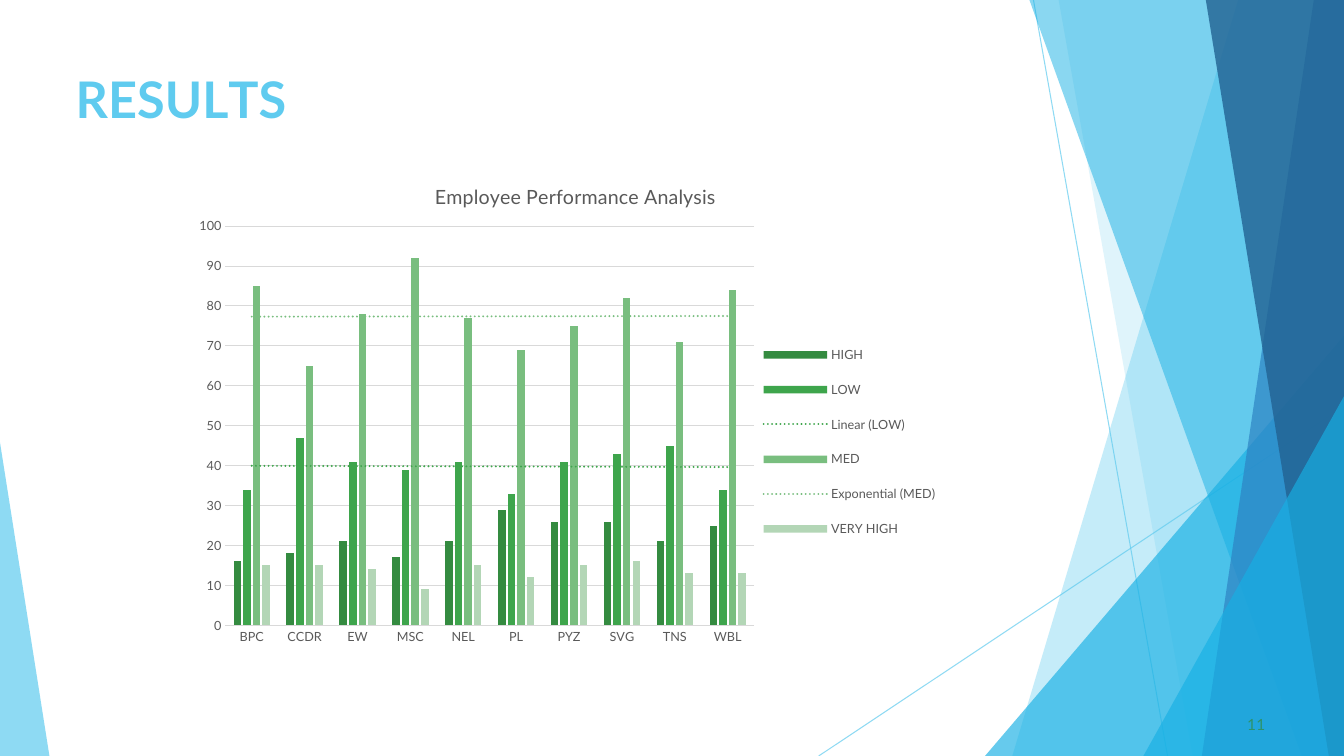
from lxml import etree
from pptx import Presentation
from pptx.chart.data import CategoryChartData
from pptx.dml.color import RGBColor
from pptx.enum.chart import XL_CHART_TYPE, XL_LEGEND_POSITION, XL_TICK_MARK
from pptx.enum.shapes import MSO_CONNECTOR, MSO_SHAPE
from pptx.enum.text import MSO_ANCHOR, MSO_AUTO_SIZE, PP_ALIGN
from pptx.oxml import parse_xml
from pptx.oxml.ns import nsdecls, qn
from pptx.util import Inches, Pt

FONT = "Lato"
WIDTH, HEIGHT = 13.33, 7.5
COLORS = {
    "sky": "5FCBEF", "cyan": "17B0E4", "blue": "2E83C3", "navy": "226292",
    "number": "2D936B", "text": "595959", "grid": "D9D9D9",
    "HIGH": "348B40", "LOW": "3EA54C", "MED": "79BE7F", "VERY HIGH": "B3D6B6",
}
CATEGORIES = ["BPC", "CCDR", "EW", "MSC", "NEL", "PL", "PYZ", "SVG", "TNS", "WBL"]
SERIES = {
    "HIGH": [16, 18, 21, 17, 21, 29, 26, 26, 21, 25],
    "LOW": [34, 47, 41, 39, 41, 33, 41, 43, 45, 34],
    "MED": [85, 65, 78, 92, 77, 69, 75, 82, 71, 84],
    "VERY HIGH": [15, 15, 14, 9, 15, 12, 15, 16, 13, 13],
}
TRENDS = {"LOW": "linear", "MED": "exp"}


def rgb(name):
    return RGBColor.from_string(COLORS[name])


def set_alpha(fill_parent, percent):
    clr = next(fill_parent.iter(qn("a:srgbClr")))
    etree.SubElement(clr, qn("a:alpha")).set("val", str(percent * 1000))


def style_facet(sp, color, alpha):
    sp.shadow.inherit = False
    sp.fill.solid()
    sp.fill.fore_color.rgb = rgb(color)
    sp.line.fill.background()
    set_alpha(sp._element.spPr, alpha)


def add_ray(slide, x1, y1, x2, y2):
    line = slide.shapes.add_connector(
        MSO_CONNECTOR.STRAIGHT, Inches(x1), Inches(y1), Inches(x2), Inches(y2))
    line.line.color.rgb = rgb("sky")
    line.line.width = Pt(0.75)
    set_alpha(line._element.spPr, 70)
    etree.SubElement(line._element.spPr, qn("a:effectLst"))


def add_band(slide, top_x, bottom_x, color, alpha):
    """Band between a slanted left edge and the right edge of the slide."""
    points = [(WIDTH, 0), (WIDTH, HEIGHT), (bottom_x, HEIGHT)]
    builder = slide.shapes.build_freeform(Inches(top_x), 0)
    builder.add_line_segments([(Inches(x), Inches(y)) for x, y in points])
    style_facet(builder.convert_to_shape(), color, alpha)


def add_triangle(slide, left, top, width, apex, color, alpha):
    sp = slide.shapes.add_shape(
        MSO_SHAPE.ISOSCELES_TRIANGLE, Inches(left), Inches(top),
        Inches(width), Inches(HEIGHT - top))
    sp.adjustments[0] = apex
    style_facet(sp, color, alpha)


def set_font(font, size, color, bold=False):
    font.name, font.size, font.bold = FONT, Pt(size), bold
    font.color.rgb = rgb(color)


def add_run(p, text, size, color, bold=False, spacing=0):
    r = p.add_run()
    r.text = text
    set_font(r.font, size, color, bold)
    r._r.get_or_add_rPr().set("spc", str(round(spacing * 100)))


def prepare_frame(sp, left, top, width, height, indent, space_before):
    sp.left, sp.top = Inches(left), Inches(top)
    sp.width, sp.height = Inches(width), Inches(height)
    tf = sp.text_frame
    tf.word_wrap, tf.auto_size = True, MSO_AUTO_SIZE.NONE
    tf.vertical_anchor = MSO_ANCHOR.TOP
    tf.margin_left = tf.margin_right = tf.margin_bottom = 0
    tf.margin_top = Inches(0.01)
    p = tf.paragraphs[0]
    p.alignment, p.space_before = PP_ALIGN.LEFT, Pt(space_before)
    p._p.get_or_add_pPr().set("marL", str(Inches(indent)))
    return p


def set_layout(parent, target=None, **fractions):
    """Place a chart part by fractions of the chart's size."""
    for old in parent.findall(qn("c:layout")):
        parent.remove(old)
    inner = f'<c:layoutTarget val="{target}"/>' if target else ""
    inner += "".join(f'<c:{k}Mode val="edge"/>' for k in "xy")
    inner += "".join(f'<c:{k} val="{v}"/>' for k, v in fractions.items())
    layout = parse_xml(f'<c:layout {nsdecls("c")}><c:manualLayout>{inner}'
                       '</c:manualLayout></c:layout>')
    before = [parent.find(qn(t)) for t in ("c:tx", "c:legendPos")]
    anchor = next((e for e in before if e is not None), None)
    if anchor is None:
        parent.insert(0, layout)
    else:
        anchor.addnext(layout)


def add_trendline(series, kind, color):
    series._element.find(qn("c:cat")).addprevious(parse_xml(
        f'<c:trendline {nsdecls("c", "a")}><c:spPr><a:ln w="{Pt(1.5)}" cap="rnd">'
        f'<a:solidFill><a:srgbClr val="{COLORS[color]}"/></a:solidFill>'
        f'<a:prstDash val="sysDot"/></a:ln></c:spPr><c:trendlineType val="{kind}"/>'
        '<c:dispRSqr val="0"/><c:dispEq val="0"/></c:trendline>'))


def style_axis(axis):
    axis.major_tick_mark = axis.minor_tick_mark = XL_TICK_MARK.NONE
    set_font(axis.tick_labels.font, 9, "text")


def style_line(line):
    line.color.rgb = rgb("grid")
    line.width = Pt(0.75)


def add_performance_chart(slide):
    data = CategoryChartData()
    data.categories = CATEGORIES
    for name, values in SERIES.items():
        data.add_series(name, values)
    chart = slide.shapes.add_chart(
        XL_CHART_TYPE.COLUMN_CLUSTERED, Inches(1.82), Inches(1.58),
        Inches(7.68), Inches(4.92), data).chart
    set_font(chart.font, 10, "text")

    # Title and legend
    chart.has_title = True
    p = chart.chart_title.text_frame.paragraphs[0]
    add_run(p, "Employee Performance Analysis", 14, "text")
    set_layout(chart.chart_title._element, x=0.32, y=0.04)
    chart.has_legend = True
    chart.legend.position = XL_LEGEND_POSITION.RIGHT
    chart.legend.include_in_layout = False
    set_font(chart.legend.font, 9, "text")
    set_layout(chart.legend._element, x=0.74, y=0.34, w=0.24, h=0.46)

    # Axes
    style_axis(chart.category_axis)
    style_line(chart.category_axis.format.line)
    axis = chart.value_axis
    style_axis(axis)
    axis.format.line.fill.background()
    style_line(axis.major_gridlines.format.line)
    axis.minimum_scale, axis.maximum_scale, axis.major_unit = 0, 100, 10

    # Columns and trend lines
    plot = chart.plots[0]
    plot.gap_width, plot.overlap, plot.vary_by_categories = 219, -27, False
    set_layout(plot._element.getparent(), "inner", x=0.054, y=0.135, w=0.683, h=0.805)
    for series in plot.series:
        series.format.fill.solid()
        series.format.fill.fore_color.rgb = rgb(series.name)
        if series.name in TRENDS:
            add_trendline(series, TRENDS[series.name], series.name)


def main():
    prs = Presentation()
    prs.slide_width, prs.slide_height = Inches(WIDTH), Inches(HEIGHT)
    slide = prs.slides.add_slide(prs.slide_layouts[5])

    # Faceted background
    add_ray(slide, 10.25, 0, 11.58, HEIGHT)
    add_ray(slide, WIDTH, 4.03, 8.12, HEIGHT)
    add_band(slide, 12.28, 10.04, "sky", 36)
    add_band(slide, 10.5, 11.83, "sky", 20)
    add_triangle(slide, 9.77, 3.33, 3.56, 1, "cyan", 66)
    add_band(slide, 10.21, 12.91, "cyan", 50)
    add_band(slide, 13.03, 11.92, "blue", 70)
    add_band(slide, 11.96, 13.18, "navy", 80)
    add_triangle(slide, 11.34, 3.93, 1.99, 1, "cyan", 66)
    add_triangle(slide, 0, 4.39, 0.49, 0, "sky", 70)

    # Title
    p = prepare_frame(slide.shapes.title, 0.74, 0.67, 9.4, 1.44, 0.01, 1.1)
    for text, spacing in [("R", 0), ("E", -0.4), ("S", 0.1), ("U", -0.3),
                          ("L", -4), ("TS", 0)]:
        add_run(p, text, 36, "sky", True, spacing)

    # Slide number
    box = slide.shapes.add_textbox(0, 0, 0, 0)
    p = prepare_frame(box, 12.33, 7.08, 0.25, 0.21, 0.04, 0.6)
    add_run(p, "11", 11, "number", spacing=0.1)

    add_performance_chart(slide)
    prs.save("out.pptx")


if __name__ == "__main__":
    main()
